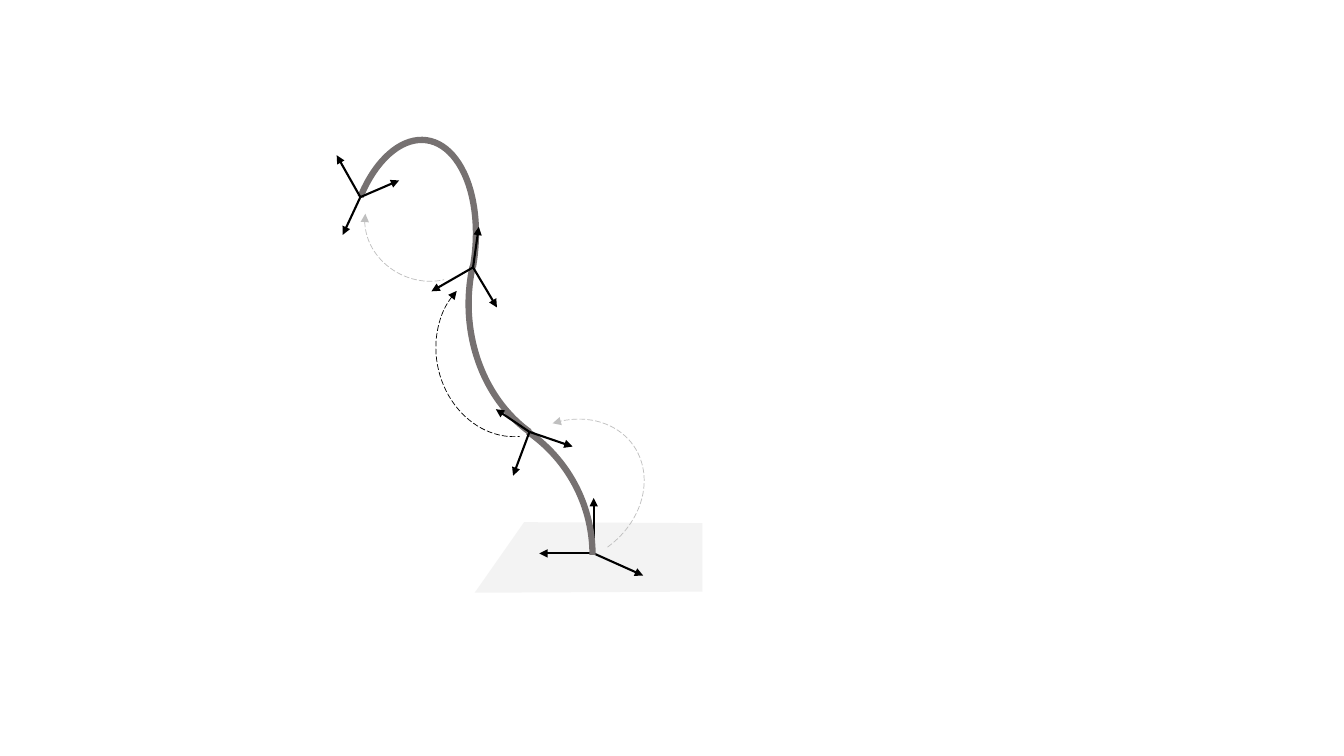
from lxml import etree
from pptx import Presentation
from pptx.dml.color import RGBColor
from pptx.enum.dml import MSO_LINE
from pptx.enum.shapes import MSO_CONNECTOR, MSO_SHAPE
from pptx.oxml.ns import qn
from pptx.util import Pt

ARC = MSO_SHAPE.ARC
STRAIGHT = MSO_CONNECTOR.STRAIGHT
LONG_DASH = MSO_LINE.LONG_DASH

BLACK = "000000"
ROD_GRAY = "767171"
ARROW_GRAY = "BFBFBF"
PLATE_GRAY = "F2F2F2"

PLATE = [(501.8, 373.7), (374.4, 373), (339.1, 423.4), (501.8, 422.6)]

BASE_FRAME = (424.1, 395.3), [(459.4, 411.1), (385.2, 395.3), (424.1, 355.7)]
LOWER_FRAME = (378.2, 308.5), [(366.5, 339.8), (354.2, 292.3), (409, 319)]
UPPER_FRAME = (337.9, 191), [(342, 162), (308.2, 208.1), (355, 219.6)]
TIP_FRAME = (257.4, 140.8), [(244.8, 167.8), (240.5, 110.9), (285.1, 128.9)]


def color(value):
    """Turn a hex string into a colour."""
    return RGBColor.from_string(value)


def style_line(shape, stroke, width, dash=None, arrow=None):
    """Set the outline, with an arrowhead at headEnd or tailEnd if asked."""
    shape.line.color.rgb = color(stroke)
    shape.line.width = Pt(width)
    if dash is not None:
        shape.line.dash_style = dash
    if arrow:
        outline = shape._element.spPr.find(qn("a:ln"))
        etree.SubElement(outline, qn(f"a:{arrow}"), type="triangle")


def add_plate(slide, corners, fill, opacity):
    """Draw a filled translucent polygon without an outline."""
    builder = slide.shapes.build_freeform(*map(Pt, corners[0]), scale=1.0)
    builder.add_line_segments([(Pt(x), Pt(y)) for x, y in corners[1:]])
    plate = builder.convert_to_shape()
    plate.shadow.inherit = False
    plate.fill.solid()
    plate.fill.fore_color.rgb = color(fill)
    tint = plate._element.spPr.find(qn("a:solidFill"))[0]
    etree.SubElement(tint, qn("a:alpha"), val=str(opacity * 1000))
    plate.line.fill.background()


def add_arc(slide, box, rotation, angles, **line):
    """Draw a mirrored, rotated arc inside a box."""
    arc = slide.shapes.add_shape(ARC, *map(Pt, box))
    arc.adjustments[0], arc.adjustments[1] = angles
    arc.rotation = rotation
    arc._element.spPr.xfrm.set("flipH", "1")
    arc.shadow.inherit = False
    arc.fill.background()
    style_line(arc, **line)


def add_rod(slide, box, rotation, angles):
    """Draw one thick section of the curved rod."""
    add_arc(slide, box, rotation, angles, stroke=ROD_GRAY, width=4.5)


def add_step(slide, box, rotation, angles, stroke, arrow):
    """Draw a dashed arrow from one frame to the next."""
    add_arc(slide, box, rotation, angles, stroke=stroke, width=0.5,
            dash=LONG_DASH, arrow=arrow)


def add_frame(slide, origin, tips):
    """Draw the three axes of a coordinate frame."""
    for tip in tips:
        axis = slide.shapes.add_connector(STRAIGHT, *map(Pt, origin + tip))
        style_line(axis, BLACK, 1.5, arrow="tailEnd")
        etree.SubElement(axis._element.spPr, qn("a:effectLst"))


def main():
    """Build the slide and save it."""
    deck = Presentation()
    deck.slide_width, deck.slide_height = Pt(960), Pt(540)
    slide = deck.slides.add_slide(deck.slide_layouts[6])

    add_plate(slide, PLATE, PLATE_GRAY, 89)
    add_rod(slide, (318.2, 126.7, 213.8, 180.7), 90, (43.724, 91.71))
    add_step(slide, (347, 302.4, 115.9, 97.9), 145.5, (163.065, 40.346),
             ARROW_GRAY, "tailEnd")
    add_step(slide, (311.8, 192.2, 103.7, 120.2), 346.6, (178.037, 50.237),
             BLACK, "headEnd")
    add_frame(slide, *BASE_FRAME)
    add_rod(slide, (209.5, 289.4, 213.8, 213.8), 90, (162, 195.211))
    add_frame(slide, *LOWER_FRAME)
    add_rod(slide, (213.8, 133.9, 159.8, 90.7), 97.9, (158.092, 30.547))
    add_frame(slide, *UPPER_FRAME)
    add_step(slide, (265, 118.8, 75.6, 86.4), 296.5, (170.37, 28.425),
             ARROW_GRAY, "headEnd")
    add_frame(slide, *TIP_FRAME)

    deck.save("out.pptx")


if __name__ == "__main__":
    main()
